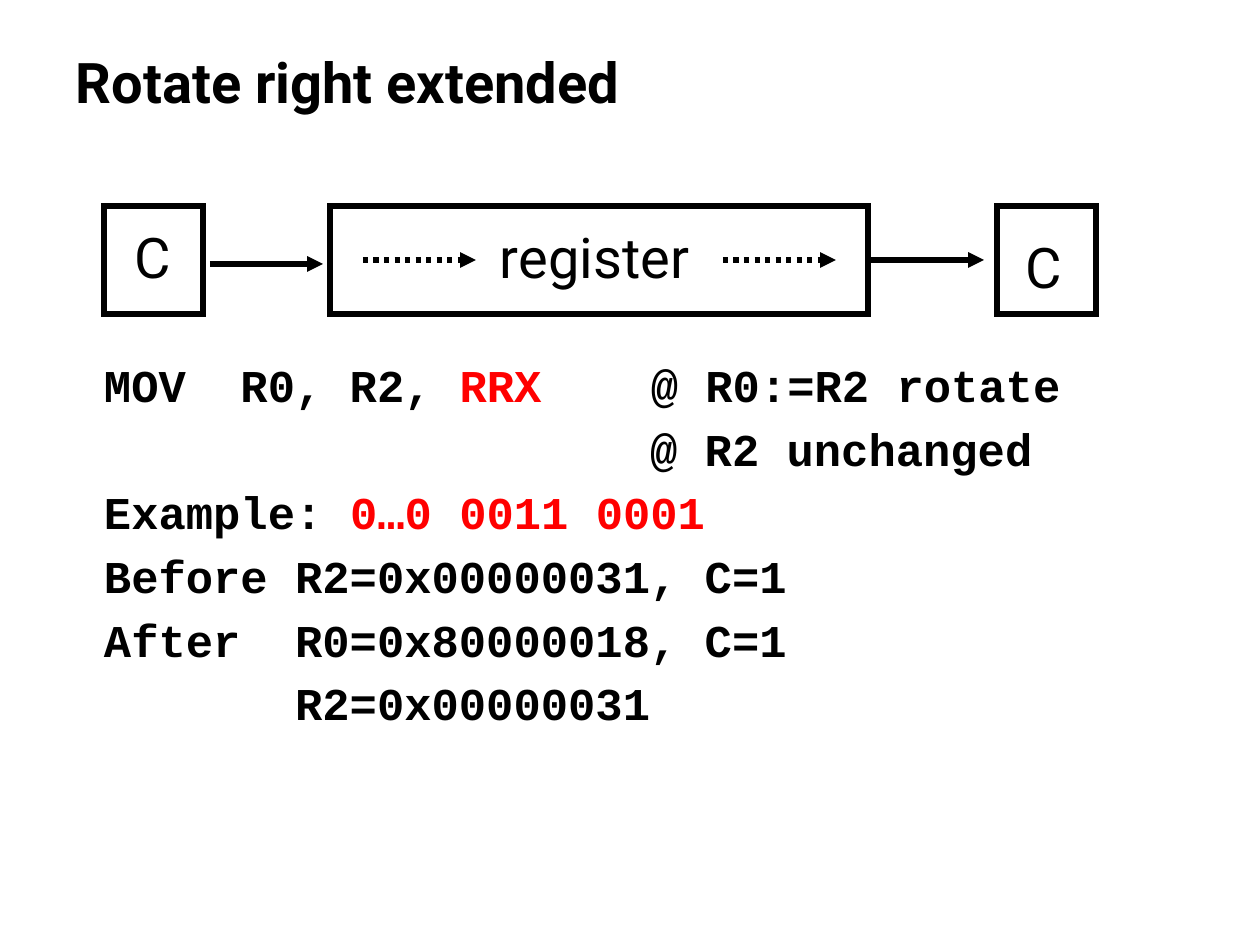
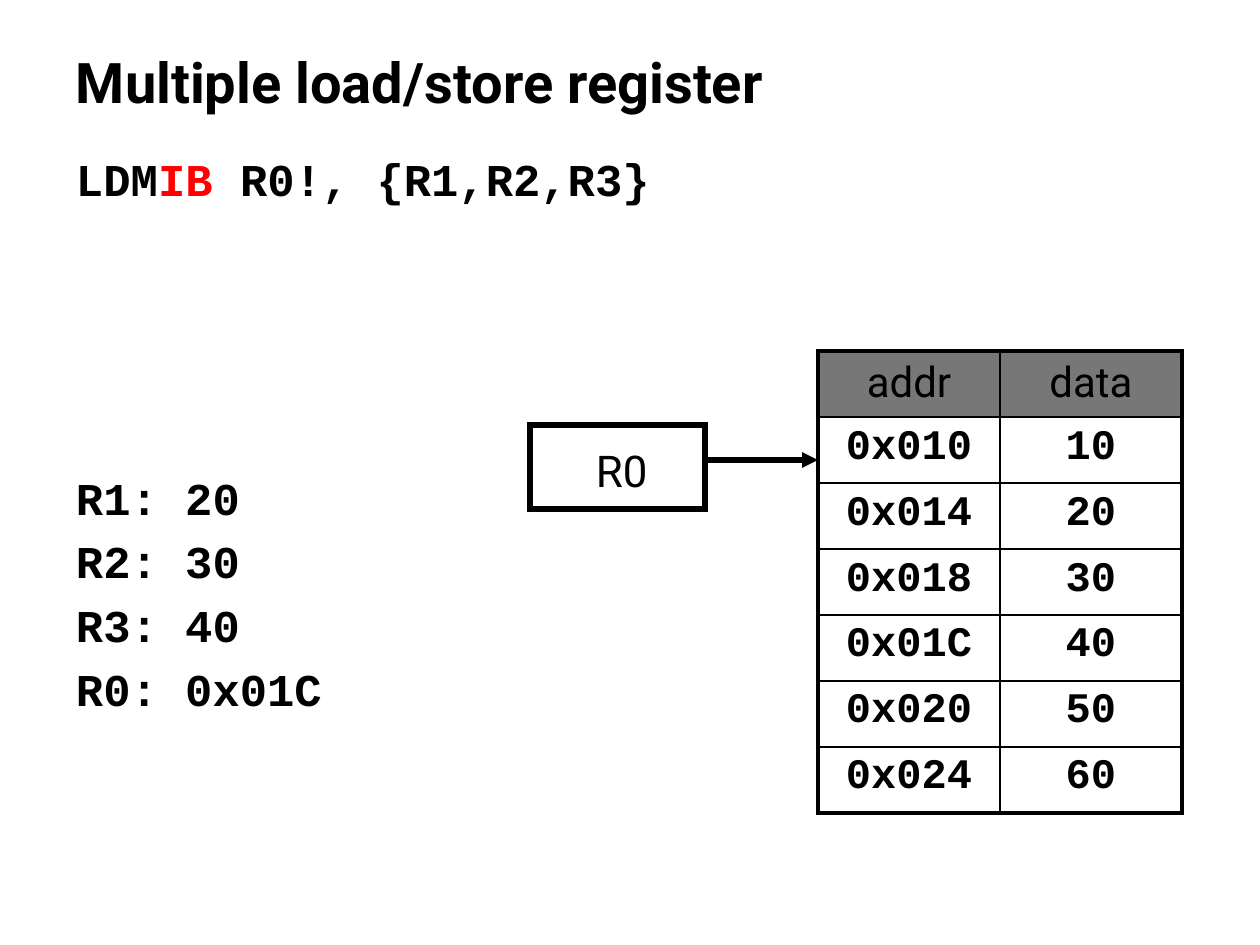
from dataclasses import dataclass

from lxml import etree
from pptx import Presentation
from pptx.dml.color import RGBColor
from pptx.enum.dml import MSO_LINE
from pptx.enum.shapes import MSO_CONNECTOR, MSO_SHAPE
from pptx.enum.text import MSO_ANCHOR, PP_ALIGN
from pptx.oxml.ns import qn
from pptx.util import Emu, Pt

RECT, STRAIGHT = MSO_SHAPE.RECTANGLE, MSO_CONNECTOR.STRAIGHT
DOTTED = MSO_LINE.ROUND_DOT
TOP, MIDDLE = MSO_ANCHOR.TOP, MSO_ANCHOR.MIDDLE
CENTER = PP_ALIGN.CENTER
RIGHT_SIDE = 3


@dataclass(frozen=True)
class Theme:
    ink: str = "000000"
    accent: str = "FF0000"
    header: str = "777777"
    sans: str = "Roboto"
    mono: str = "Courier New"
    title: int = 32
    label: int = 32
    small_label: int = 25
    code: int = 26
    cell: int = 24
    code_gap: float = 5.2   # space before a code line, pt
    stroke: float = 3
    outer: float = 2.25     # table frame, pt
    inner: float = 1        # table grid, pt


T = Theme()

# Content: a code line is a list of (text, colour) runs
ROTATE_TITLE = "Rotate right extended"
ROTATE_CODE = [
    [("MOV  R0, R2, ", T.ink), ("RRX", T.accent), ("    @ R0:=R2 rotate", T.ink)],
    [("                    @ R2 unchanged", T.ink)],
    [("Example: ", T.ink), ("0…0 0011 0001", T.accent)],
    [("Before R2=0x00000031, C=1", T.ink)],
    [("After  R0=0x80000018, C=1", T.ink)],
    [("       R2=0x00000031", T.ink)],
]
LOAD_TITLE = "Multiple load/store register"
LOAD_CODE = [
    [("LDM", T.ink), ("IB", T.accent), (" R0!, {R1,R2,R3}", T.ink)],
    [("R1: 20", T.ink)],
    [("R2: 30", T.ink)],
    [("R3: 40", T.ink)],
    [("R0: 0x01C", T.ink)],
]
RESULT_GAP = 151            # pt between the instruction and the results
MEMORY = [("addr", "data"), ("0x010", "10"), ("0x014", "20"), ("0x018", "30"),
          ("0x01C", "40"), ("0x020", "50"), ("0x024", "60")]

# Geometry in px
SLIDE_W, SLIDE_H = 1260, 945
TITLE_BOX = (63, 38, 1134, 87)
LABEL_INSETS = (15, 8, 15, 8)
CELL_INSETS = (15, 7, 15, 7)
BOX_TOP, BOX_H = 206, 108
CARRY_IN = (104, BOX_TOP, 99, BOX_H)
REGISTER = (330, BOX_TOP, 538, BOX_H)
CARRY_OUT = (997, BOX_TOP, 99, BOX_H)
ARROW_LEN = 113
MEMORY_LEFT, MEMORY_TOP, COL_W, ROW_H = 818, 351, 182, 66


def px(n):
    return Emu(round(n * 914400 / 126))


def add_run(p, text, size, font, color=T.ink, bold=False):
    r = p.add_run()
    r.text = text
    r.font.size, r.font.name, r.font.bold = Pt(size), font, bold
    r.font.color.rgb = RGBColor.from_string(color)


def add_text_box(s, box, insets=(13, 6, 13, 6), wrap=True, anchor=TOP):
    tf = s.shapes.add_textbox(*map(px, box)).text_frame
    tf.word_wrap, tf.vertical_anchor = wrap, anchor
    tf.margin_left, tf.margin_top, tf.margin_right, tf.margin_bottom = map(px, insets)
    return tf


def add_slide(prs, title):
    s = prs.slides.add_slide(prs.slide_layouts[6])
    tf = add_text_box(s, TITLE_BOX, anchor=MIDDLE)
    add_run(tf.paragraphs[0], title, T.title, T.sans, bold=True)
    return s


def add_code(s, box, lines, gaps=None):
    """Write code lines; gaps overrides the space before chosen lines."""
    tf = add_text_box(s, box)
    for i, line in enumerate(lines):
        p = tf.add_paragraph() if i else tf.paragraphs[0]
        if i:
            p.space_before = Pt((gaps or {}).get(i, T.code_gap))
        for text, color in line:
            add_run(p, text, T.code, T.mono, color, bold=True)


def add_box(s, box, label, label_box, size):
    sp = s.shapes.add_shape(RECT, *map(px, box))
    sp.shadow.inherit = False
    sp.fill.background()
    sp.line.color.rgb = RGBColor.from_string(T.ink)
    sp.line.width = Pt(T.stroke)
    etree.SubElement(sp.line._get_or_add_ln(), qn("a:miter"), lim="800000")
    tf = add_text_box(s, label_box, LABEL_INSETS, wrap=False)
    add_run(tf.paragraphs[0], label, size, T.sans)
    return sp


def add_arrow(s, x, y, length=ARROW_LEN, dash=None, start=None):
    """Draw an arrow to the right, joined to the right side of start if given."""
    c = s.shapes.add_connector(STRAIGHT, px(x), px(y), px(x + length), px(y))
    if start is not None:
        c.begin_connect(start, RIGHT_SIDE)
        c.end_y = c.begin_y
    c.line.color.rgb = RGBColor.from_string(T.ink)
    c.line.width = Pt(T.stroke)
    if dash is not None:
        c.line.dash_style = dash
    etree.SubElement(c.line._get_or_add_ln(), qn("a:tailEnd"), type="triangle")
    etree.SubElement(c._element.spPr, qn("a:effectLst"))


def set_border(cell, side, width):
    ln = etree.SubElement(cell._tc.get_or_add_tcPr(), qn(f"a:ln{side}"), w=str(Pt(width)))
    fill = etree.SubElement(ln, qn("a:solidFill"))
    etree.SubElement(fill, qn("a:srgbClr"), val=T.ink)


def add_memory_table(s, rows):
    n_rows, n_cols = len(rows), len(rows[0])
    table = s.shapes.add_table(n_rows, n_cols, px(MEMORY_LEFT), px(MEMORY_TOP),
                               px(n_cols * COL_W), px(n_rows * ROW_H)).table
    table.first_row = table.horz_banding = False
    for col in table.columns:
        col.width = px(COL_W)
    for i, row in enumerate(rows):
        table.rows[i].height = px(ROW_H)
        header = i == 0
        for j, text in enumerate(row):
            cell = table.cell(i, j)
            (cell.margin_left, cell.margin_top,
             cell.margin_right, cell.margin_bottom) = map(px, CELL_INSETS)
            # Heavy frame outside, thin grid inside
            edges = {"L": j == 0, "R": j == n_cols - 1, "T": header, "B": i == n_rows - 1}
            for side, is_outer in edges.items():
                set_border(cell, side, T.outer if is_outer else T.inner)
            if header:
                cell.fill.solid()
                cell.fill.fore_color.rgb = RGBColor.from_string(T.header)
            else:
                cell.fill.background()
            p = cell.text_frame.paragraphs[0]
            p.alignment = CENTER
            add_run(p, text, T.cell, T.sans if header else T.mono, bold=not header)


def build_rotate(prs):
    s = add_slide(prs, ROTATE_TITLE)
    add_code(s, (91, 351, 1140, 509), ROTATE_CODE)
    # Carry -> register -> carry
    add_box(s, CARRY_IN, "C", (120, 215, 66, 83), T.label)
    register = add_box(s, REGISTER, "register", (485, 215, 226, 83), T.label)
    add_box(s, CARRY_OUT, "C", (1011, 224, 66, 83), T.label)
    add_arrow(s, 210, 264)
    for x in (363, 723):
        add_arrow(s, x, 260, dash=DOTTED)
    add_arrow(s, REGISTER[0] + REGISTER[2], 260, 116, start=register)


def build_load(prs):
    s = add_slide(prs, LOAD_TITLE)
    add_code(s, (63, 145, 735, 754), LOAD_CODE, {1: RESULT_GAP})
    add_memory_table(s, MEMORY)
    # Base register pointing at the first address
    add_box(s, (530, 425, 175, 84), "R0", (581, 436, 83, 67), T.small_label)
    add_arrow(s, 706, 460, MEMORY_LEFT - 706)


def main():
    prs = Presentation()
    prs.slide_width, prs.slide_height = px(SLIDE_W), px(SLIDE_H)
    build_rotate(prs)
    build_load(prs)
    prs.save("out.pptx")


if __name__ == "__main__":
    main()
